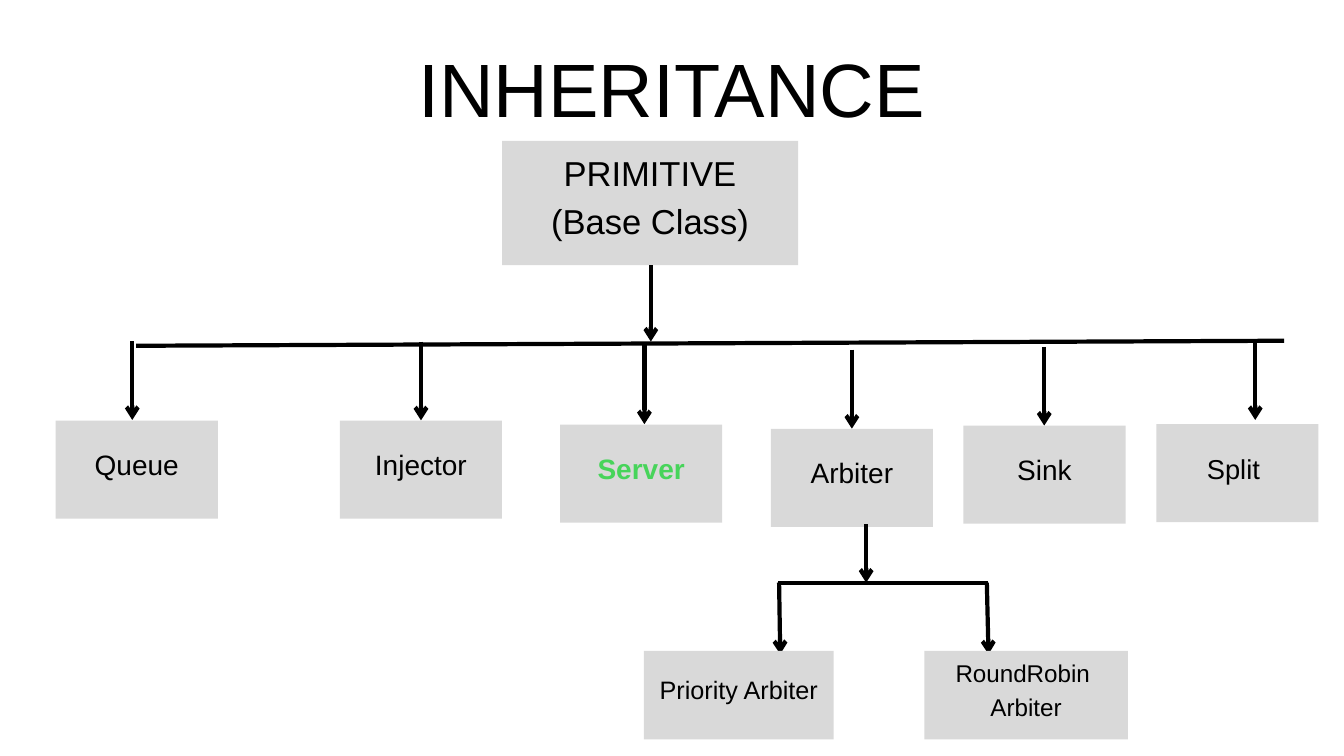
from dataclasses import dataclass

from lxml import etree
from pptx import Presentation
from pptx.dml.color import RGBColor
from pptx.enum import shapes, text
from pptx.oxml import ns
from pptx.util import Pt


@dataclass(frozen=True)
class Theme:
    font: str = "Arial"
    ink: str = "000000"
    box: str = "D9D9D9"
    accent: str = "47D45A"
    title: float = 54
    base: float = 24.7
    child: float = 20
    split: float = 19.5
    leaf: float = 18
    leaf_small: float = 17.3
    line: float = 3


THEME = Theme()
CHILD_W, CHILD_H = 115.8, 70
LEAF_TOP, LEAF_H = 465, 63.2

# label, box left, box top, arrow x, arrow start, arrow end, formats
CHILDREN = [
    ("Queue", 39.8, 300.5, 94.5, 243.6, 300, {}),
    ("Injector", 242.8, 300.5, 300.7, 244, 300.3, {}),
    ("Server", 400.1, 303.4, 460.3, 246.4, 303, {"bold": True, "color": THEME.accent}),
    ("Arbiter", 550.6, 306.3, 608.5, 249.8, 306.2, {}),
    ("Sink", 688.2, 304.1, 745.9, 247.8, 304, {}),
    ("Split", 826, 302.9, 896.6, 243.6, 300, {"size": THEME.split, "shift": 5.8}),
]


def place(sp, left, top, width, height):
    sp.left, sp.top, sp.width, sp.height = map(Pt, (left, top, width, height))


def write(sp, lines, size, spacing, margins, anchor, color=THEME.ink, bold=False):
    """Fill a shape with centred paragraphs; margins are left, top, right, bottom."""
    tf = sp.text_frame
    left, top, right, bottom = map(Pt, margins)
    frame = {"word_wrap": True, "auto_size": text.MSO_AUTO_SIZE.NONE,
             "vertical_anchor": anchor, "margin_left": left, "margin_top": top,
             "margin_right": right, "margin_bottom": bottom}
    for name, value in frame.items():
        setattr(tf, name, value)
    for i, line in enumerate(lines):
        p = tf.paragraphs[0] if i == 0 else tf.add_paragraph()
        p.alignment = text.PP_ALIGN.CENTER
        p.line_spacing = Pt(spacing)
        p.space_before = Pt(0)
        r = p.add_run()
        r.text = line
        for name, value in {"name": THEME.font, "size": Pt(size), "bold": bold}.items():
            setattr(r.font, name, value)
        r.font.color.rgb = RGBColor.from_string(color)


def add_title(s, title):
    sp = s.shapes.title
    place(sp, 133.9, 15.1, 692, 76.3)
    write(sp, [title], THEME.title, 79.3, (0, 0, 0, 0), text.MSO_ANCHOR.TOP)


def add_box(s, lines, at, size=THEME.child, spacing=28.0, lift=11.3, shift=0, **look):
    """Add a class box whose text sits above centre by lift / 2 and left by shift / 2."""
    sp = s.shapes.add_shape(shapes.MSO_SHAPE.RECTANGLE, *map(Pt, at))
    sp.shadow.inherit = False
    sp.fill.solid()
    sp.fill.fore_color.rgb = RGBColor.from_string(THEME.box)
    sp.line.fill.background()
    write(sp, lines, size, spacing, (3, 0, 3 + shift, lift),
          text.MSO_ANCHOR.MIDDLE, **look)


def add_line(s, x1, y1, x2, y2, arrow=True):
    sp = s.shapes.add_connector(shapes.MSO_CONNECTOR.STRAIGHT,
                                *map(Pt, (x1, y1, x2, y2)))
    sp.line.color.rgb = RGBColor.from_string(THEME.ink)
    sp.line.width = Pt(THEME.line)
    if arrow:
        ln = sp.line._get_or_add_ln()
        etree.SubElement(ln, ns.qn("a:tailEnd"), type="arrow")
    etree.SubElement(sp._element.spPr, ns.qn("a:effectLst"))


def add_children(s):
    add_line(s, 97.2, 247, 917.3, 243.4, arrow=False)
    for label, left, top, x, start, end, formats in CHILDREN:
        add_line(s, x, start, x, end)
        add_box(s, [label], (left, top, CHILD_W, CHILD_H), **formats)


def add_arbiters(s):
    add_line(s, 618.7, 374.4, 618.7, 416.2)
    add_line(s, 555.8, 416.2, 706, 416.2, arrow=False)
    add_line(s, 556.5, 416.2, 557.3, 467.3)
    add_line(s, 704.9, 416.2, 706.1, 467.3)
    add_box(s, ["Priority Arbiter"], (460, LEAF_TOP, 135.5, LEAF_H),
            THEME.leaf, 25.2)
    add_box(s, ["RoundRobin ", "Arbiter"], (660.2, LEAF_TOP, 145.5, LEAF_H),
            THEME.leaf_small, 24.3)


def main():
    prs = Presentation()
    prs.slide_width, prs.slide_height = Pt(960), Pt(540)
    s = prs.slides.add_slide(prs.slide_layouts.get_by_name("Title Only"))
    add_title(s, "INHERITANCE")
    add_box(s, ["PRIMITIVE", "(Base Class)"], (358.6, 100.7, 211.5, 88.7),
            THEME.base, 34.5, lift=13.7)
    add_line(s, 464.9, 189.4, 464.9, 244)
    add_children(s)
    add_arbiters(s)
    prs.save("out.pptx")


if __name__ == "__main__":
    main()
